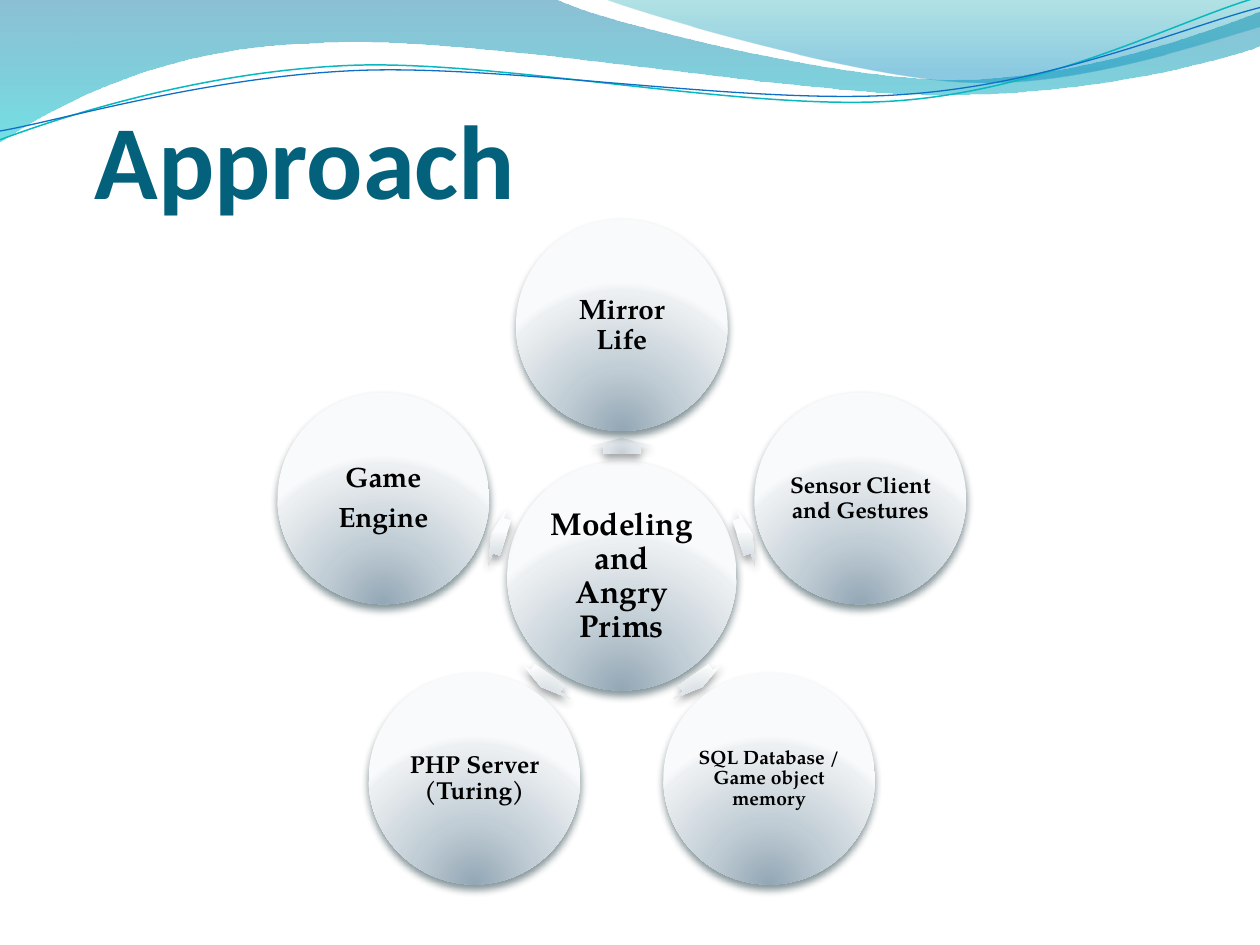
import math
from lxml import etree
from pptx import Presentation
from pptx import util as u
from pptx.dml.color import RGBColor
from pptx.enum import shapes, text
from pptx.oxml import ns

TEAL = RGBColor(0x04, 0x61, 0x7B)
AQUA = RGBColor(0x0A, 0xB8, 0xBF)
BLUE = RGBColor(0x0F, 0x6F, 0xC6)
BLACK = RGBColor(0, 0, 0)
SHADE = RGBColor(0x00, 0x23, 0x2C)
GREY = RGBColor(0x3C, 0x40, 0x43)

# Gradient stops: position, colour, opacity
BAND = [(0, RGBColor(0x00, 0x74, 0xA1), 45), (100, RGBColor(0x00, 0xC6, 0xCF), 55)]
CREST = [(0, RGBColor(0x00, 0xA1, 0xA9), 30), (80, RGBColor(0x00, 0x8B, 0xBF), 45)]
BALL = [(0, RGBColor(0x93, 0xA7, 0xB5), 100), (43, RGBColor(0xC2, 0xCE, 0xD6), 100),
        (93, RGBColor(0xED, 0xF0, 0xF2), 100), (100, RGBColor(0xF9, 0xFA, 0xFB), 100)]
ARROW = [(0, RGBColor(0xC8, 0xD0, 0xD6), 100), (43, RGBColor(0xDD, 0xE3, 0xE8), 100),
         (93, RGBColor(0xF4, 0xF6, 0xF7), 100), (100, RGBColor(0xFB, 0xFC, 0xFD), 100)]
LINEAR = '<a:lin ang="5400000" scaled="0"/>'
ROUND = ('<a:path path="circle"><a:fillToRect l="50000" t="130000" '
         'r="50000" b="-30000"/></a:path>')

# Waves: start point, then straight (2 numbers) or curved (6 numbers) steps
FILLS = [
    (BAND, (0, 0), [(4.4, -0.01), (4.76, 0.17, 6.64, 0.63, 7.58, 0.63),
                    (8.53, 0.63, 9.58, 0.26, 10, 0.09), (10.01, 0.36),
                    (9.83, 0.44, 8.7, 0.76, 7.46, 0.75),
                    (6.22, 0.75, 3.82, 0.28, 2.57, 0.34),
                    (1.29, 0.36, 0.46, 0.83, -0.01, 1.13), (0, 0)]),
    (CREST, (4.79, -0.01), [(5.09, 0.11, 6.82, 0.62, 7.69, 0.65),
                            (8.56, 0.69, 9.61, 0.32, 10, 0.21), (10, 0),
                            (4.79, -0.01)]),
]
LINES = [
    (AQUA, 0.85, (0, 1.11), [(0.48, 0.93, 1.58, 0.57, 2.77, 0.52),
                             (3.95, 0.47, 5.93, 0.89, 7.13, 0.8),
                             (8.33, 0.71, 9.38, 0.15, 9.98, -0.02)]),
    (BLUE, 0.75, (0, 1.04), [(0.47, 0.96, 1.64, 0.61, 2.83, 0.56),
                             (4.03, 0.51, 5.97, 0.84, 7.17, 0.75),
                             (8.36, 0.67, 9.41, 0.21, 10, 0.06)]),
]

# Hub and its ring, clockwise from the top: paragraphs, text size, inset
HUB = (["Modeling and Angry Prims"], 18, 0.03)
RING = [(["Mirror Life"], 16, 0.05), (["Sensor Client and Gestures"], 13, 0),
        (["SQL Database / Game object memory"], 11, 0.02),
        (["PHP Server (Turing)"], 14, 0.02), (["Game", "Engine"], 16, 0.02)]


def put(item, form):
    for key, val in form.items():
        setattr(item, key, val)


def color(rgb, alpha):
    return f'<a:srgbClr val="{rgb}"><a:alpha val="{alpha * 1000}"/></a:srgbClr>'


def node(tag, body, attrs=""):
    return etree.fromstring(f'<a:{tag} xmlns:a="{ns.nsuri("a")}" {attrs}>{body}</a:{tag}>')


def blend(shape, stops, kind):
    """Fill with a gradient, without an outline."""
    shape.line.fill.background()
    shape.fill.solid()
    body = "".join(f'<a:gs pos="{pos * 1000}">{color(rgb, alpha)}</a:gs>'
                   for pos, rgb, alpha in stops)
    props = shape.element.spPr
    props.replace(props.find(ns.qn("a:solidFill")),
                  node("gradFill", f"<a:gsLst>{body}</a:gsLst>{kind}", 'rotWithShape="1"'))


def shade(shape, rgb):
    """Drop a soft shadow straight down."""
    shape.shadow.inherit = False
    attrs = (f'blurRad="{u.Pt(4.5)}" dist="{u.Pt(3)}" dir="5400000" '
             'algn="ctr" rotWithShape="0"')
    shape.element.spPr.find(ns.qn("a:effectLst")).append(
        node("outerShdw", color(rgb, 48), attrs))


def curve(slide, box, start, steps, close):
    """Lay out all points as an outline, then bend each group of three."""
    left, top = box
    pen = slide.shapes.build_freeform(u.Inches(left + start[0]), u.Inches(top + start[1]))
    dots = [step[k:k + 2] for step in steps for k in range(0, len(step), 2)]
    pen.add_line_segments([(u.Inches(left + x), u.Inches(top + y)) for x, y in dots],
                          close=close)
    shape = pen.convert_to_shape()
    shape.shadow.inherit = False
    legs = iter(list(shape.element.spPr.iter(ns.qn("a:lnTo"))))
    for step in steps:
        group = [next(legs) for _ in range(len(step) // 2)]
        if len(group) == 3:
            bend = node("cubicBezTo", "")
            group[0].addprevious(bend)
            for leg in group:
                bend.append(leg[0])
                leg.getparent().remove(leg)
    return shape


def waves(slide, box):
    for stops, start, steps in FILLS:
        blend(curve(slide, box, start, steps, True), stops, LINEAR)
    for rgb, width, start, steps in LINES:
        line = curve(slide, box, start, steps, False)
        line.fill.background()
        line.line.color.rgb = rgb
        line.line.width = u.Pt(width)


def head(slide, box, words):
    title = slide.shapes.title
    put(title, dict(zip(("left", "top", "width", "height"), map(u.Inches, box))))
    frame = title.text_frame
    frame.text = words
    put(frame, dict(margin_left=0, margin_right=0, margin_bottom=0, word_wrap=True,
                    auto_size=text.MSO_AUTO_SIZE.NONE,
                    vertical_anchor=text.MSO_ANCHOR.BOTTOM))
    para = frame.paragraphs[0]
    para.alignment = text.PP_ALIGN.LEFT
    put(para.runs[0].font, dict(name="Calibri", size=u.Pt(60), bold=True))
    para.runs[0].font.color.rgb = TEAL
    # Bring the title in front of the waves
    title.element.getparent().append(title.element)


def middle(x, y, wide, high):
    return [u.Inches(v) for v in (x - wide / 2, y - high / 2, wide, high)]


def ball(slide, x, y, size, label):
    disc = slide.shapes.add_shape(shapes.MSO_SHAPE.OVAL, *middle(x, y, size, size))
    blend(disc, BALL, ROUND)
    shade(disc, SHADE)
    # The label fills the square inside the disc
    words, points, inset = label
    side = size / math.sqrt(2)
    frame = slide.shapes.add_textbox(*middle(x, y, side, side)).text_frame
    edges = ("margin_left", "margin_top", "margin_right", "margin_bottom")
    put(frame, dict.fromkeys(edges, u.Inches(inset)))
    put(frame, dict(word_wrap=True, vertical_anchor=text.MSO_ANCHOR.MIDDLE))
    frame.text = "\n".join(words)
    for para in frame.paragraphs:
        put(para, dict(alignment=text.PP_ALIGN.CENTER, line_spacing=0.9,
                       space_after=u.Pt(points * 0.35)))
        put(para.runs[0].font, dict(name="TeX Gyre Pagella", size=u.Pt(points), bold=True))
        para.runs[0].font.color.rgb = BLACK


def wheel(slide, box):
    """A hub with discs at equal angles and an arrow to each."""
    left, top, wide, high = box
    x, y = left + wide / 2, top + 2.82
    ball(slide, x, y, 1.82, HUB)
    for i, label in enumerate(RING):
        turn = 360 / len(RING) * i - 90
        dx, dy = math.cos(math.radians(turn)), math.sin(math.radians(turn))
        arrow = slide.shapes.add_shape(shapes.MSO_SHAPE.RIGHT_ARROW,
                                       *middle(x + 1.03 * dx, y + 1.03 * dy, 0.12, 0.49))
        arrow.adjustments[0] = 0.6
        arrow.rotation = turn % 360
        blend(arrow, ARROW, ROUND)
        shade(arrow, GREY)
        ball(slide, x + 1.99 * dx, y + 1.99 * dy, 1.68, label)


deck = Presentation()
put(deck, dict(slide_width=u.Inches(10), slide_height=u.Inches(7.5)))
page = deck.slides.add_slide(deck.slide_layouts[5])
waves(page, (0, 0))
head(page, (0.75, 0.5, 8.42, 1.25), "Approach")
wheel(page, (2.2, 1.75, 5.47, 5.28))
deck.save("out.pptx")
